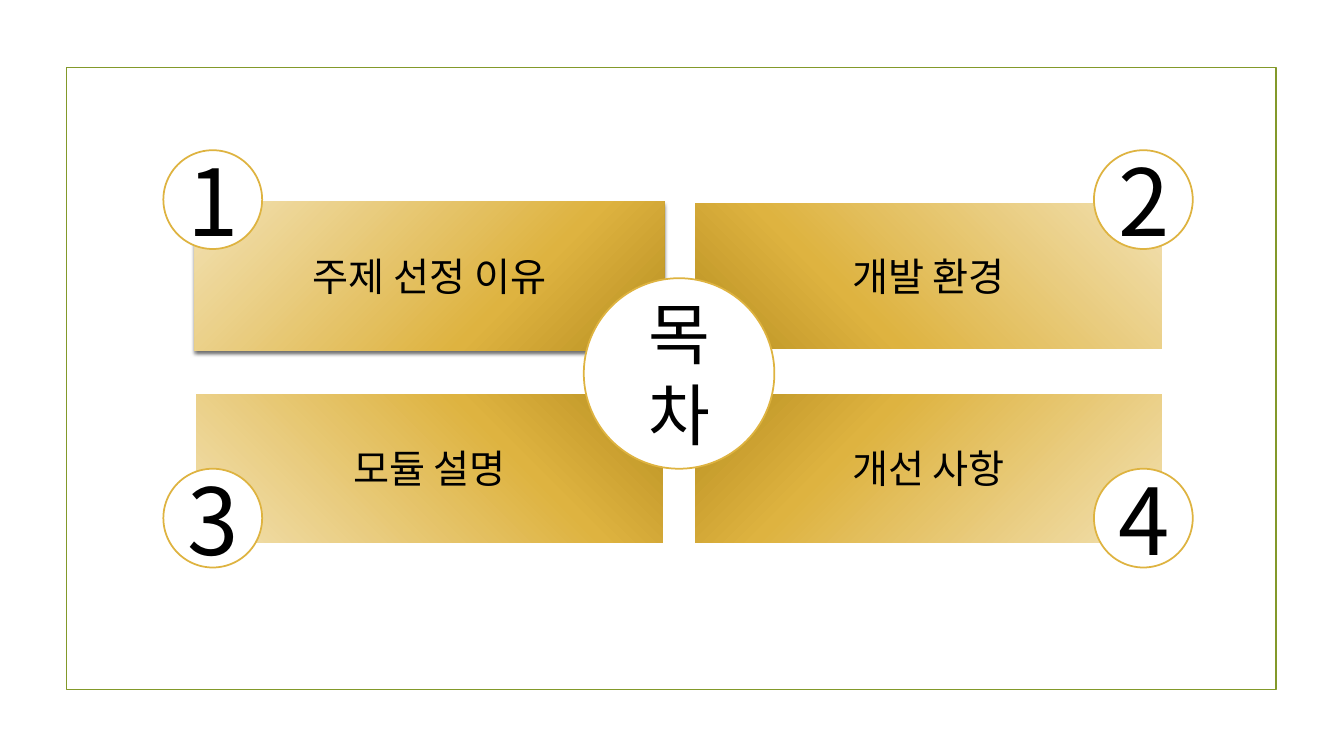
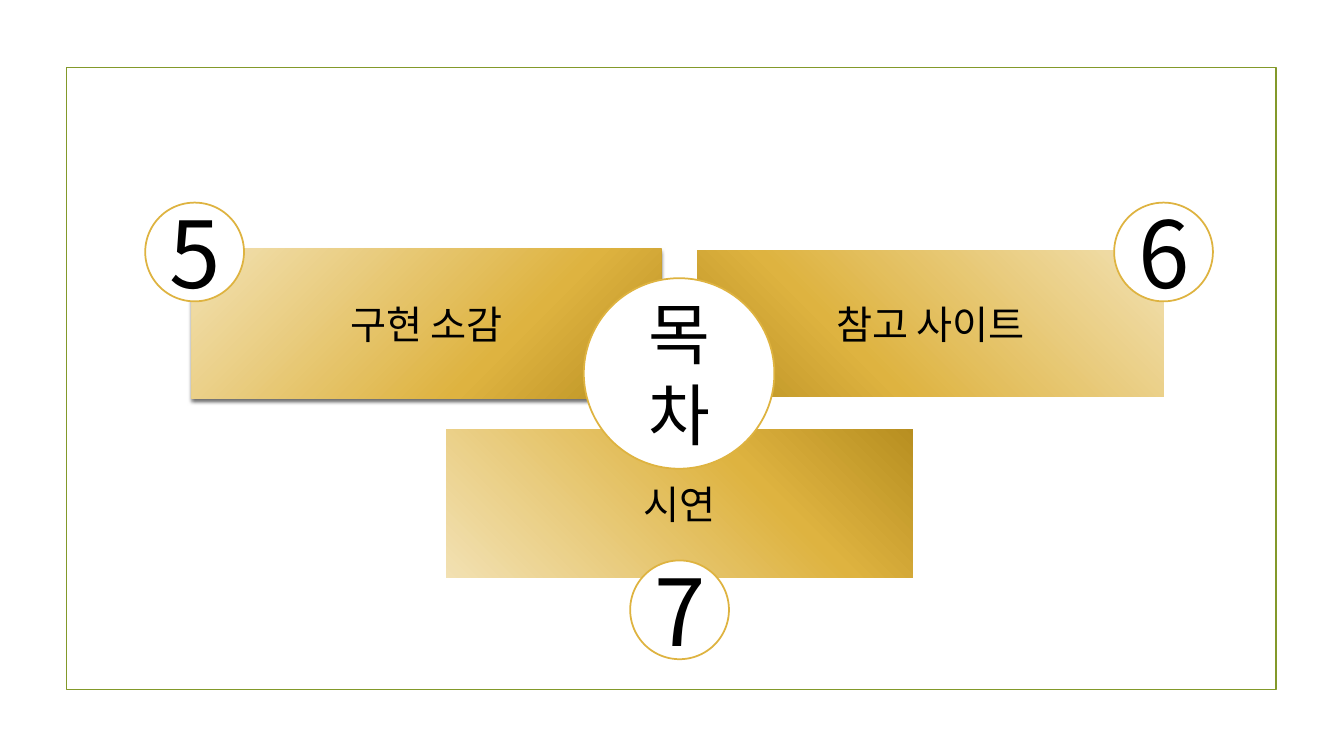
import pptx
import pptx.dml.color
import pptx.enum.shapes
import pptx.enum.text
import pptx.oxml.ns
import pptx.util
from lxml import etree

Inches = pptx.util.Inches
Kind = pptx.enum.shapes.MSO_SHAPE
qn = pptx.oxml.ns.qn

FONT = "Noto Sans CJK KR"
WHITE, BLACK, GOLD, GREEN = "FFFFFF", "000000", "DEB340", "83992A"
STOPS = [(0, "B78E20"), (34, GOLD), (100, "F2E1B3"), (100, GOLD)]
WIDE, TALL, LOW = 4.66, 1.51, 1.48
DISC, HUB = 0.98, 1.89

# Each item: label, box left, top and height, gradient angle, number left and top
PAGES = [
    [
        ("주제 선정 이유", 1.93, 2, LOW, 135, 1.62, 1.49),
        ("개발 환경", 6.88, 2, LOW, 45, 10.85, 1.49),
        ("모듈 설명", 1.93, 3.89, TALL, 225, 1.62, 4.65),
        ("개선 사항", 6.88, 3.89, TALL, 315, 10.85, 4.65),
    ],
    [
        ("구현 소감", 1.9, 2.47, LOW, 135, 1.44, 2.01),
        ("참고 사이트", 6.9, 2.47, LOW, 45, 11.05, 2.01),
        ("시연", 4.41, 4.24, TALL, 225, 6.25, 5.56),
    ],
]


def rgb(code):
    return pptx.dml.color.RGBColor.from_string(code)


def put(slide, kind, spot, text="", size=28, fill=None, line=None, weight=1.25):
    """Add a shape with centred text; no fill or line unless a colour is given."""
    shape = slide.shapes.add_shape(kind, *[Inches(n) for n in spot])
    shape.shadow.inherit = False
    if fill:
        shape.fill.solid()
        shape.fill.fore_color.rgb = rgb(fill)
    else:
        shape.fill.background()
    if line:
        shape.line.color.rgb = rgb(line)
        shape.line.width = pptx.util.Pt(weight)
    else:
        shape.line.fill.background()
    if text:
        frame = shape.text_frame
        frame.word_wrap = True
        frame.vertical_anchor = pptx.enum.text.MSO_ANCHOR.MIDDLE
        para = frame.paragraphs[0]
        para.alignment = pptx.enum.text.PP_ALIGN.CENTER
        run = para.add_run()
        run.text = text
        run.font.size = pptx.util.Pt(size)
        run.font.color.rgb = rgb(BLACK)
        run.font.name = FONT
        etree.SubElement(run.font._element, qn("a:ea"), typeface=FONT)
    return shape


deck = pptx.Presentation()
deck.slide_width = Inches(13.33)
deck.slide_height = Inches(7.5)

count = 0
for page in PAGES:
    slide = deck.slides.add_slide(deck.slide_layouts[6])
    put(slide, Kind.RECTANGLE, (0.66, 0.67, 12, 6.17), line=GREEN)

    for place, (label, left, top, height, angle, *_) in enumerate(page):
        first = place == 0
        box = put(slide, Kind.RECTANGLE, (left, top, WIDE, height), label,
                  line=None if first else WHITE, weight=2)
        box.fill.gradient()
        box.fill.gradient_angle = angle
        props = box._element.spPr
        stops = props.find(qn("a:gradFill")).find(qn("a:gsLst"))
        for old in list(stops):
            stops.remove(old)
        for share, code in STOPS:
            stop = etree.SubElement(stops, qn("a:gs"), pos=str(share * 1000))
            etree.SubElement(stop, qn("a:srgbClr"), val=code)
        if first:
            shade = etree.SubElement(
                props.find(qn("a:effectLst")), qn("a:outerShdw"),
                blurRad=str(pptx.util.Pt(3)), dist=str(pptx.util.Pt(2)),
                dir="5400000", algn="ctr", rotWithShape="0")
            tint = etree.SubElement(shade, qn("a:srgbClr"), val=BLACK)
            etree.SubElement(tint, qn("a:alpha"), val="60000")

    put(slide, Kind.OVAL, (5.79, 2.76, HUB, HUB), "목차", size=48, fill=WHITE, line=GOLD)

    for *_, left, top in page:
        count += 1
        put(slide, Kind.OVAL, (left, top, DISC, DISC), str(count),
            size=66, fill=WHITE, line=GOLD)

deck.save("out.pptx")
